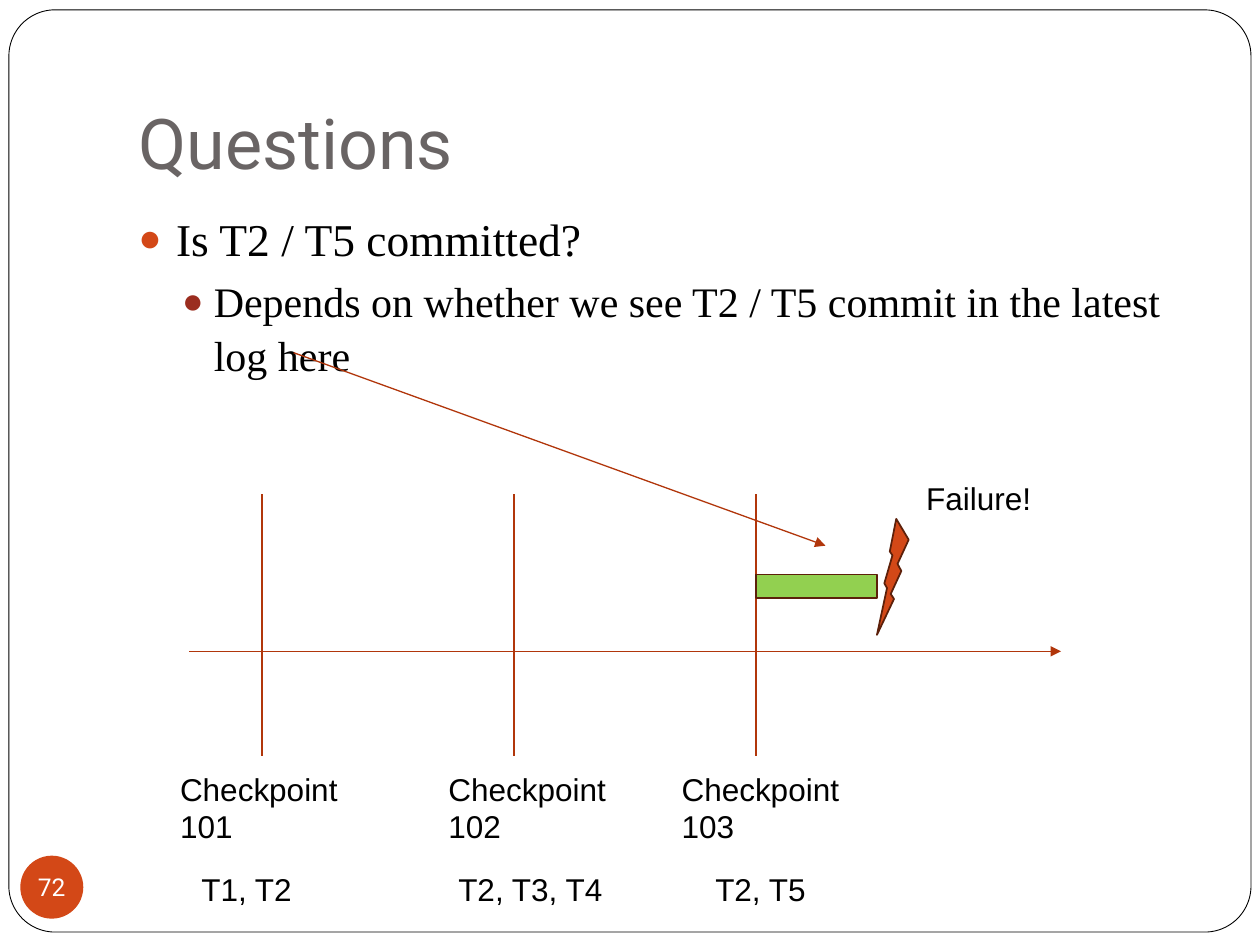
from dataclasses import dataclass
from pptx import Presentation
from pptx.dml.color import RGBColor as Rgb
from pptx.enum.shapes import MSO_CONNECTOR as Link, MSO_SHAPE as Kind
from pptx.enum.text import MSO_ANCHOR as Anchor, PP_ALIGN as Align
from pptx.oxml.ns import qn
from pptx.oxml.xmlchemy import OxmlElement as Node
from pptx.util import Cm, Pt


@dataclass(frozen=True)
class Theme:
    white: str = "FFFFFF"
    black: str = "000000"
    gray: str = "696464"
    orange: str = "D34817"
    red: str = "9B2D1F"
    rust: str = "B1360B"
    brown: str = "5C200A"
    green: str = "92D050"
    head: str = "Roboto"
    serif: str = "Times New Roman"
    sans: str = "Arial"
    title: int = 40
    main: int = 26
    sub: int = 24
    label: int = 18
    page: int = 14


T = Theme()


def hue(code):
    return Rgb.from_string(code)


def add_run(para, text, size, font, color):
    run = para.add_run()
    run.text = text
    run.font.size = Pt(size)
    run.font.name = font
    run.font.color.rgb = hue(color)


def add_text(slide, x, y, w, h):
    frame = slide.shapes.add_textbox(Cm(x), Cm(y), Cm(w), Cm(h)).text_frame
    frame.word_wrap = True
    return frame


def add_label(slide, text, x, y, w, h):
    frame = add_text(slide, x, y, w, h)
    add_run(frame.paragraphs[0], text, T.label, T.sans, T.black)


def add_form(slide, kind, x, y, w, h, fill, edge=None, width=1):
    form = slide.shapes.add_shape(kind, Cm(x), Cm(y), Cm(w), Cm(h))
    form.shadow.inherit = False
    form.fill.solid()
    form.fill.fore_color.rgb = hue(fill)
    if edge:
        form.line.color.rgb = hue(edge)
        form.line.width = Pt(width)
    else:
        form.line.fill.background()
    return form


def add_line(slide, x1, y1, x2, y2, arrow=False):
    line = slide.shapes.add_connector(
        Link.STRAIGHT, Cm(x1), Cm(y1), Cm(x2), Cm(y2))
    line.line.color.rgb = hue(T.rust)
    line.line.width = Pt(0.75)
    if arrow:
        tip = Node("a:tailEnd")
        tip.set("type", "triangle")
        line.line._get_or_add_ln().append(tip)
    line._element.spPr.append(Node("a:effectLst"))


def add_dot(para, left, hang, color):
    props = para._p.get_or_add_pPr()
    props.set("marL", str(Cm(left)))
    props.set("indent", str(-Cm(hang)))
    tint = Node("a:buClr")
    shade = Node("a:srgbClr")
    shade.set("val", color)
    tint.append(shade)
    props.append(tint)
    for tag, key, val in (("a:buSzPct", "val", "85000"),
                          ("a:buFont", "typeface", T.sans),
                          ("a:buChar", "char", "●")):
        node = Node(tag)
        node.set(key, val)
        props.append(node)


def draw_frame(slide, x, y, w, h):
    form = add_form(slide, Kind.ROUNDED_RECTANGLE, x, y, w, h,
                    T.white, T.black, 0.5)
    form.adjustments[0] = 0.05


def draw_title(slide, x, y, w, h):
    frame = add_text(slide, x, y, w, h)
    frame.vertical_anchor = Anchor.BOTTOM
    frame.margin_bottom = Cm(0.25)
    add_run(frame.paragraphs[0], "Questions", T.title, T.head, T.gray)


def draw_body(slide, x, y, w, h):
    frame = add_text(slide, x, y, w, h)
    first = frame.paragraphs[0]
    first.line_spacing = 1.07
    add_dot(first, 0.76, 0.76, T.orange)
    add_run(first, "Is T2 / T5 committed?", T.main, T.serif, T.black)
    second = frame.add_paragraph()
    second.level = 1
    second.line_spacing = 1.07
    second.space_before = Pt(3.8)
    add_dot(second, 1.52, 0.64, T.red)
    add_run(second,
            "Depends on whether we see T2 / T5 commit in the latest log here",
            T.sub, T.serif, T.black)


def draw_badge(slide, x, y, w, h):
    frame = add_form(slide, Kind.OVAL, x, y, w, h, T.orange).text_frame
    frame.word_wrap = False
    frame.vertical_anchor = Anchor.MIDDLE
    frame.margin_left = frame.margin_right = 0
    frame.margin_top = frame.margin_bottom = 0
    para = frame.paragraphs[0]
    para.alignment = Align.CENTER
    add_run(para, "72", T.page, T.head, T.white)


def draw_chart(slide, x, y, w):
    add_line(slide, x, y + 3.6, x + w, y + 3.6, True)
    points = ((1.47, -0.43, "T1, T2", 2.74),
              (6.55, 4.98, "T2, T3, T4", 3.61),
              (11.43, 9.68, "T2, T5", 2.46))
    for i, (tick, name, jobs, wide) in enumerate(points):
        add_line(slide, x + tick, y + 0.43, x + tick, y + 5.71)
        add_label(slide, f"Checkpoint {101 + i}",
                  x + name, y + 5.86, 3.81, 1.8)
        add_label(slide, jobs, x + 5.18 * i, y + 7.89, wide, 1.02)
    bolt = add_form(slide, Kind.LIGHTNING_BOLT, x + 13.87, y + 0.93,
                    0.64, 2.34, T.orange, T.brown)
    bolt._element.spPr.find(qn("a:xfrm")).set("flipH", "1")
    add_label(slide, "Failure!", x + 14.61, y, 2.97, 1.02)
    add_form(slide, Kind.RECTANGLE, x + 11.43, y + 2.05, 2.44, 0.48,
             T.green, T.brown)
    add_line(slide, x + 2.11, y - 2.42, x + 12.83, y + 1.47, True)


def main():
    deck = Presentation()
    deck.slide_width, deck.slide_height = Cm(25.4), Cm(19.05)
    slide = deck.slides.add_slide(deck.slide_layouts[6])
    draw_frame(slide, 0.18, 0.2, 25.04, 18.59)
    draw_title(slide, 2.54, 0.76, 21.59, 3.18)
    draw_body(slide, 2.54, 4.05, 21.59, 12.7)
    draw_badge(slide, 0.41, 17.25, 1.27, 1.27)
    draw_chart(slide, 3.81, 9.53, 17.58)
    deck.save("out.pptx")


if __name__ == "__main__":
    main()
